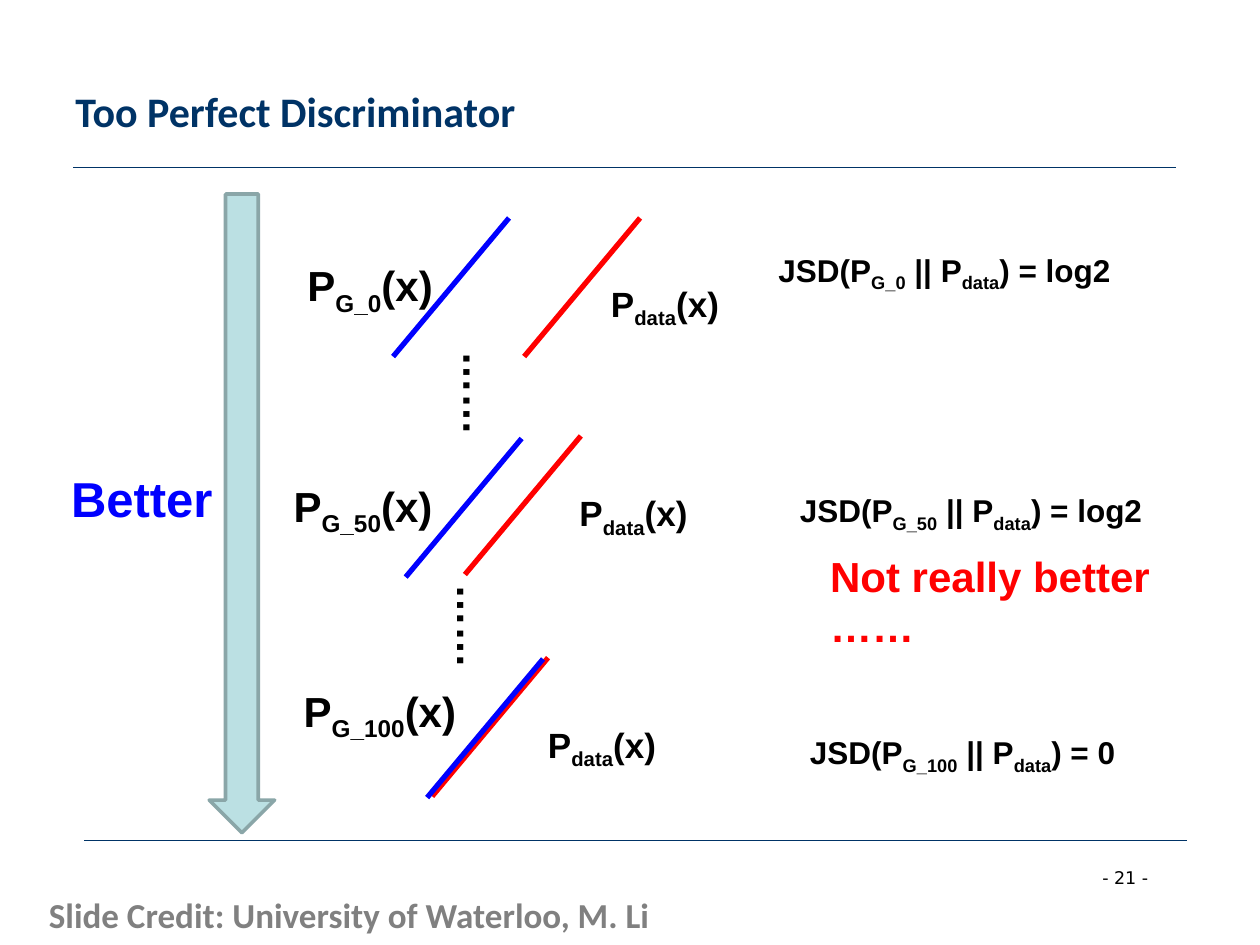
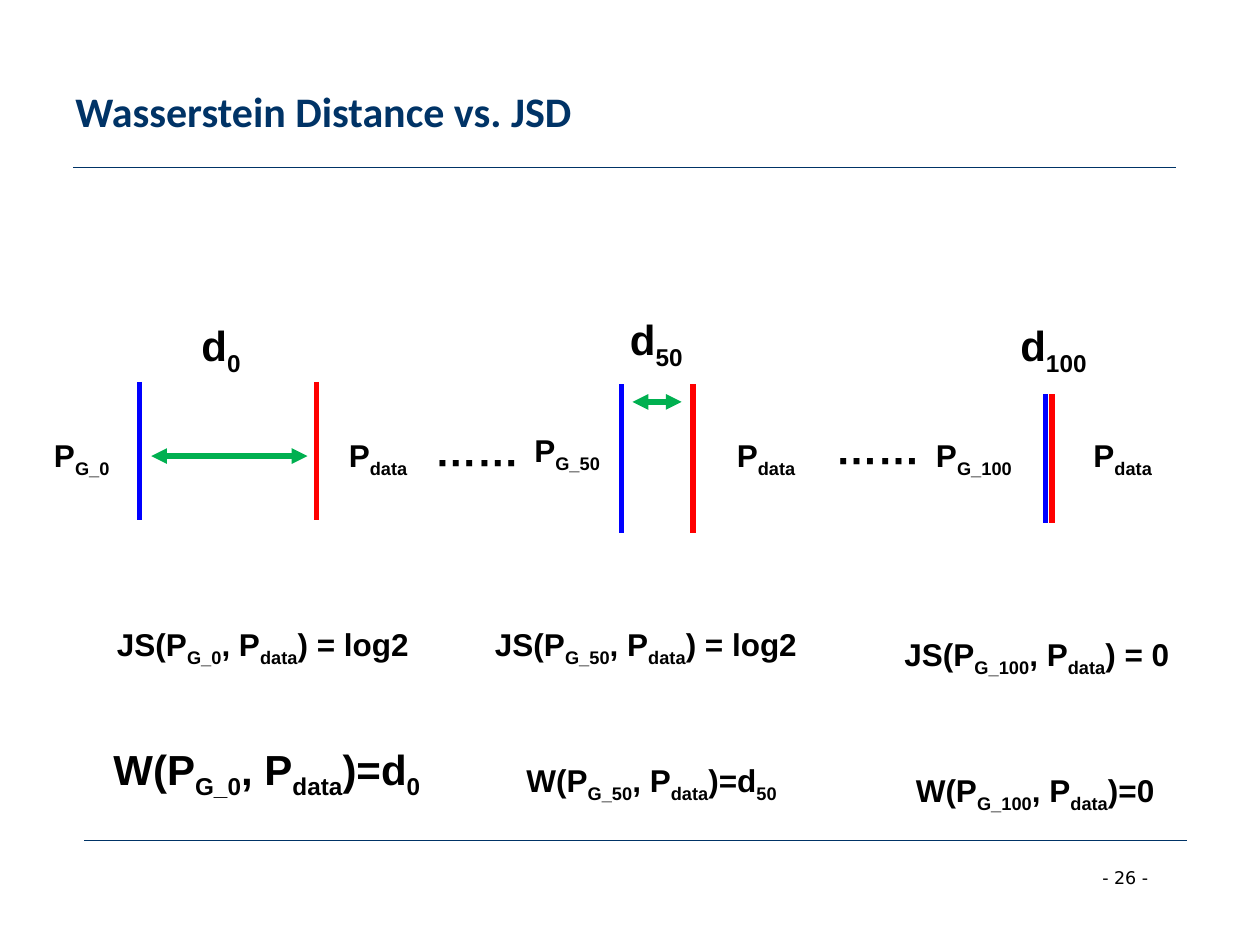
from dataclasses import dataclass

from lxml import etree
from pptx import Presentation
from pptx.dml.color import RGBColor
from pptx.enum.shapes import MSO_CONNECTOR, MSO_SHAPE
from pptx.enum.text import MSO_ANCHOR, MSO_AUTO_SIZE, PP_ALIGN
from pptx.oxml.ns import qn
from pptx.util import Inches, Pt

STRAIGHT = MSO_CONNECTOR.STRAIGHT
DOWN_ARROW = MSO_SHAPE.DOWN_ARROW
MIDDLE, TOP = MSO_ANCHOR.MIDDLE, MSO_ANCHOR.TOP
GROW, FIXED = MSO_AUTO_SIZE.SHAPE_TO_FIT_TEXT, MSO_AUTO_SIZE.NONE
LEFT, CENTER = PP_ALIGN.LEFT, PP_ALIGN.CENTER


@dataclass(frozen=True)
class Theme:
    navy: str = "003366"
    gray: str = "808080"
    black: str = "000000"
    generated: str = "0000FF"
    real: str = "FF0000"
    distance: str = "00B050"
    arrow_fill: str = "BBE0E3"
    arrow_edge: str = "8AA6A8"
    heading_font: str = "Calibri"
    body_font: str = "Arial"
    number_font: str = "DejaVu Sans"
    better: int = 28
    large: int = 24
    medium: int = 20
    formula: int = 18
    number: int = 10
    rule: float = 0.75
    stroke: float = 3


THEME = Theme()


def add_text(slide, text, box, size, color=THEME.black, font=THEME.body_font, bold=True,
             wrap=False, inset=True, align=LEFT, anchor=TOP, fit=GROW, rotation=0):
    label = slide.shapes.add_textbox(*map(Inches, box))
    label.rotation = rotation
    frame = label.text_frame
    frame.word_wrap = wrap
    frame.auto_size = fit
    frame.vertical_anchor = anchor
    if not inset:
        frame.margin_left = frame.margin_right = frame.margin_top = frame.margin_bottom = 0
    paragraph = frame.paragraphs[0]
    paragraph.alignment = align
    for index, part in enumerate(text.split("~")):
        if not part:
            continue
        run = paragraph.add_run()
        run.text = part
        run.font.name = font
        run.font.size = Pt(size)
        run.font.bold = bold
        run.font.color.rgb = RGBColor.from_string(color)
        if index % 2:
            run.font._element.set("baseline", "-25000")


def add_line(slide, start, end, color, width=THEME.stroke, arrows=False):
    line = slide.shapes.add_connector(STRAIGHT, *map(Inches, (*start, *end)))
    line.line.color.rgb = RGBColor.from_string(color)
    line.line.width = Pt(width)
    if arrows:
        outline = line.line._get_or_add_ln()
        for tag in ("a:headEnd", "a:tailEnd"):
            etree.SubElement(outline, qn(tag), type="triangle")
    etree.SubElement(line._element.spPr, qn("a:effectLst"))


deck = Presentation()
deck.slide_width, deck.slide_height = Inches(10), Inches(7.5)

slides = []
for title, page in (("Too Perfect Discriminator", 21), ("Wasserstein Distance vs. JSD", 26)):
    slide = deck.slides.add_slide(deck.slide_layouts[6])
    for left, top in ((0.58, 1.33), (0.67, 6.67)):
        add_line(slide, (left, top), (left + 8.75, top), THEME.navy, THEME.rule)
    add_text(slide, f"- {page} -", (8.65, 6.83, 0.76, 0.27), THEME.number,
             font=THEME.number_font, bold=False)
    add_text(slide, title, (0.5, 0.25, 9, 1.25), THEME.large, THEME.navy,
             THEME.heading_font, wrap=True, anchor=MIDDLE, fit=FIXED)
    slides.append(slide)
discriminator, distances = slides

add_text(discriminator, "Slide Credit: University of Waterloo, M. Li", (0.29, 7.04, 9, 0.46),
         THEME.medium, THEME.gray, THEME.heading_font, wrap=True, fit=FIXED)

stages = [
    (0, (5.08, 1.73), (4.04, 1.73), (2.44, 2.06, 1.04), (4.75, 2.19), (6.08, 1.94, 2.87), "log2"),
    (50, (4.61, 3.46), (4.14, 3.48), (2.33, 3.81, 1.17), (4.5, 3.85), (6.25, 3.85, 2.96), "log2"),
    (100, (4.35, 5.22), (4.31, 5.23), (2.41, 5.44, 1.29), (4.25, 5.69), (6.33, 5.77, 2.72), "0"),
]
for step, real_top, generated_top, generated_box, real_at, jsd_box, jsd in stages:
    for (x, y), color in ((real_top, THEME.real), (generated_top, THEME.generated)):
        add_line(discriminator, (x, y), (x - 0.92, y + 1.1), color)
    add_text(discriminator, f"P~G_{step}~(x)", (*generated_box, 0.4), THEME.large, inset=False)
    add_text(discriminator, "P~data~(x)", (*real_at, 1.08, 0.44), THEME.medium)
    add_text(discriminator, f"JSD(P~G_{step}~ || P~data~) = {jsd}", (*jsd_box, 0.4), THEME.formula)

progress = discriminator.shapes.add_shape(
    DOWN_ARROW, Inches(1.66), Inches(1.54), Inches(0.52), Inches(5.07))
progress.shadow.inherit = False
progress.fill.solid()
progress.fill.fore_color.rgb = RGBColor.from_string(THEME.arrow_fill)
progress.line.color.rgb = RGBColor.from_string(THEME.arrow_edge)
progress.line.width = Pt(2)
add_text(discriminator, "Better", (0.33, 3.67, 1.59, 0.57), THEME.better, THEME.generated,
         wrap=True, align=CENTER)
add_text(discriminator, "Not really better ……", (6.49, 4.32, 3.04, 0.51), THEME.large,
         THEME.real, wrap=True)

for slide, left, top, rotation in (
    (discriminator, 3.29, 2.87, 90),
    (discriminator, 3.24, 4.72, 90),
    (distances, 3.27, 3.53, 180),
    (distances, 6.45, 3.51, 180),
):
    add_text(slide, "……", (left, top, 1.03, 0.51), THEME.large, wrap=True,
             align=CENTER, rotation=rotation)

bars = [
    (1.11, 2.51, 3.03, 4.13),
    (4.93, 5.5, 3.05, 4.23),
    (8.3, 8.35, 3.13, 4.15),
]
for generated_x, real_x, top, bottom in bars:
    for x, color in ((real_x, THEME.real), (generated_x, THEME.generated)):
        add_line(distances, (x, top), (x, bottom), color)

for left, right, y in ((1.2, 2.44, 3.62), (5.02, 5.41, 3.19)):
    add_line(distances, (left, y), (right, y), THEME.distance, arrows=True)

for left in (2.67, 5.75, 8.58):
    add_text(distances, "P~data", (left, 3.41, 0.7, 0.4), THEME.formula)

measures = [
    ("d~0", (1.5, 2.49, 0.51, 0.51), THEME.large, True),
    ("d~50", (5, 2.49, 0.44, 0.4), THEME.large, False),
    ("d~100", (8, 2.49, 0.76, 0.51), THEME.large, True),
    ("P~G_0", (0.33, 3.41, 0.69, 0.4), THEME.formula, True),
    ("P~G_50", (4.24, 3.42, 0.58, 0.3), THEME.formula, False),
    ("P~G_100", (7.33, 3.41, 0.88, 0.4), THEME.formula, True),
    ("JS(P~G_0~, P~data~) = log2", (0.83, 4.91, 2.55, 0.4), THEME.formula, True),
    ("JS(P~G_50~, P~data~) = log2", (3.83, 4.91, 2.65, 0.4), THEME.formula, True),
    ("JS(P~G_100~, P~data~) = 0", (7.08, 4.99, 2.4, 0.4), THEME.formula, True),
    ("W(P~G_0~, P~data~)=d~0", (0.9, 5.9, 2.55, 0.4), THEME.large, False),
    ("W(P~G_50~, P~data~)=d~50", (4.08, 5.99, 2.3, 0.4), THEME.formula, True),
    ("W(P~G_100~, P~data~)=0", (7.17, 6.07, 2.21, 0.4), THEME.formula, True),
]
for text, box, size, inset in measures:
    add_text(distances, text, box, size, inset=inset)

deck.save("out.pptx")
